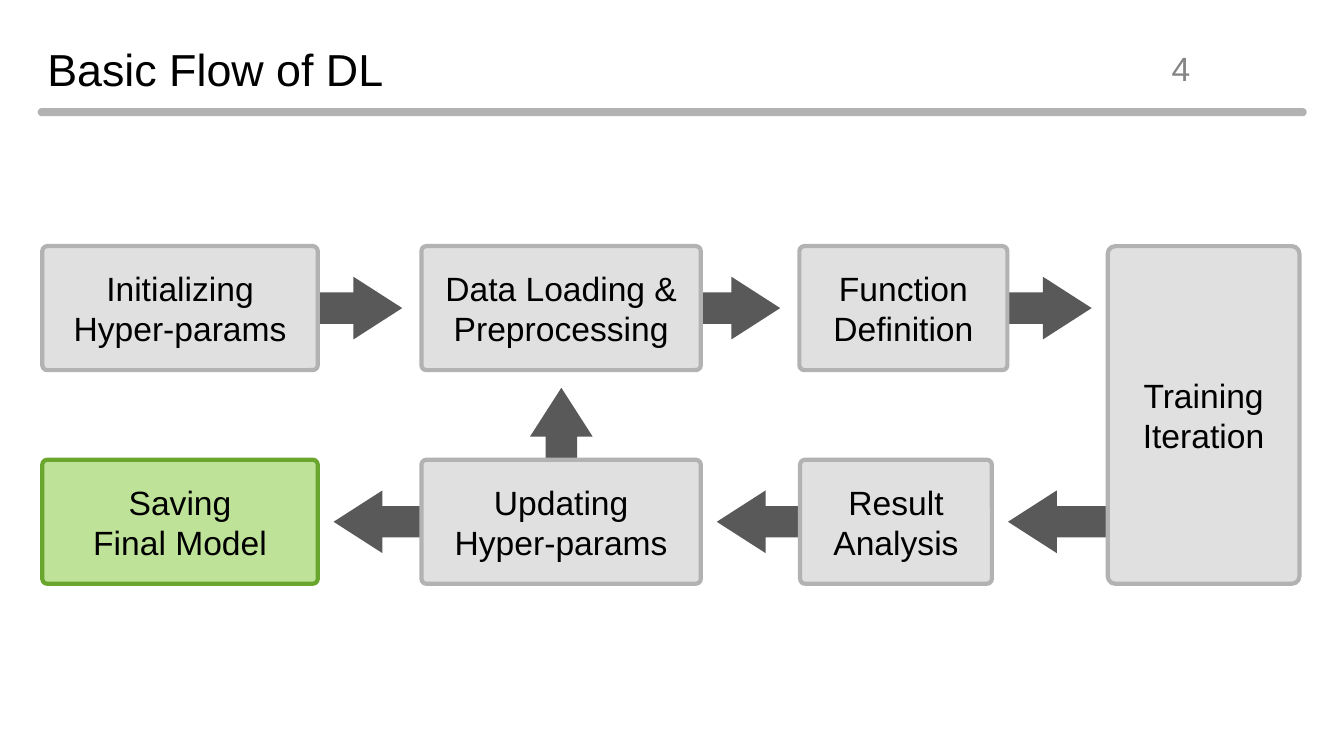
import pptx
import pptx.util
import pptx.dml.color
import pptx.enum.shapes
import pptx.enum.text

Pt = pptx.util.Pt
RGBColor = pptx.dml.color.RGBColor
MSO_SHAPE = pptx.enum.shapes.MSO_SHAPE
PP_ALIGN = pptx.enum.text.PP_ALIGN

BLACK = RGBColor(0x00, 0x00, 0x00)
NUMBER_GRAY = RGBColor(0x85, 0x85, 0x85)
RULE_GRAY = RGBColor(0xB2, 0xB2, 0xB2)
BOX_GRAY = RGBColor(0xE0, 0xE0, 0xE0)
ARROW_GRAY = RGBColor(0x59, 0x59, 0x59)
FINAL_FILL = RGBColor(0xBE, 0xE3, 0x98)
FINAL_LINE = RGBColor(0x6A, 0xA6, 0x2D)

TITLE = "Basic Flow of DL"
PAGE = "4"

TOP_ROW, BOTTOM_ROW = 175.8, 328.4
BOX_H, ARROW_H, ARROW_W = 88.6, 44.8, 67
TRAINING_H = BOTTOM_ROW + BOX_H - TOP_ROW

# text, left, top, width, height, fill, line
BOXES = [
    ("Initializing Hyper-params", 30.2, TOP_ROW, 196.8, BOX_H, BOX_GRAY, RULE_GRAY),
    ("Data Loading & Preprocessing", 301, TOP_ROW, 199.6, BOX_H, BOX_GRAY, RULE_GRAY),
    ("Function Definition", 571, TOP_ROW, 148.6, BOX_H, BOX_GRAY, RULE_GRAY),
    ("Training Iteration", 791.2, TOP_ROW, 137, TRAINING_H, BOX_GRAY, RULE_GRAY),
    ("Result Analysis", 571.5, BOTTOM_ROW, 137, BOX_H, BOX_GRAY, RULE_GRAY),
    ("Updating\nHyper-params", 301, BOTTOM_ROW, 199.6, BOX_H, BOX_GRAY, RULE_GRAY),
    ("Saving\nFinal Model", 30.2, BOTTOM_ROW, 196.8, BOX_H, FINAL_FILL, FINAL_LINE),
]

# left, vertical centre, width, rotation
TOP_MID, BOTTOM_MID = TOP_ROW + BOX_H / 2, BOTTOM_ROW + BOX_H / 2
ARROWS = [
    (220.3, TOP_MID, ARROW_W, 0),
    (490.3, TOP_MID, ARROW_W, 0),
    (712.8, TOP_MID, ARROW_W, 0),
    (720, BOTTOM_MID, 110, 180),
    (512, BOTTOM_MID, ARROW_W, 180),
    (238.3, BOTTOM_MID, ARROW_W, 180),
    (367.5, 310.5, ARROW_W, 270),
]


def write(shape, text, size=24, color=BLACK, align=PP_ALIGN.CENTER, insets=(7.2, 3.6, 7.2, 3.6)):
    tf = shape.text_frame
    tf.word_wrap = True
    tf.auto_size = pptx.enum.text.MSO_AUTO_SIZE.NONE
    tf.vertical_anchor = pptx.enum.text.MSO_ANCHOR.MIDDLE
    tf.margin_left, tf.margin_top, tf.margin_right, tf.margin_bottom = map(Pt, insets)
    p = tf.paragraphs[0]
    p.text = text
    p.alignment = align
    for r in p.runs:
        r.font.name = "Arial"
        r.font.size = Pt(size)
        r.font.color.rgb = color


def add_filled(s, kind, left, top, width, height, fill, adjustments, line=None):
    sp = s.shapes.add_shape(kind, Pt(left), Pt(top), Pt(width), Pt(height))
    sp.shadow.inherit = False
    for i, value in enumerate(adjustments):
        sp.adjustments[i] = value
    sp.fill.solid()
    sp.fill.fore_color.rgb = fill
    if line is None:
        sp.line.fill.background()
    else:
        sp.line.color.rgb = line
        sp.line.width = Pt(3)
    return sp


def main():
    prs = pptx.Presentation()
    prs.slide_width, prs.slide_height = Pt(960), Pt(540)
    s = prs.slides.add_slide(prs.slide_layouts[5])

    title = s.shapes.title
    title.left, title.top, title.width, title.height = Pt(19.4), Pt(25.2), Pt(766.8), Pt(47.5)
    write(title, TITLE, size=32, align=PP_ALIGN.LEFT, insets=(14.4, 3.6, 7.2, 3.6))
    add_filled(s, MSO_SHAPE.ROUNDED_RECTANGLE, 26.9, 77.2, 906.5, 5.8, RULE_GRAY, [0.5])

    for left, middle, width, rotation in ARROWS:
        sp = add_filled(s, MSO_SHAPE.RIGHT_ARROW, left, middle - ARROW_H / 2, width, ARROW_H,
                        ARROW_GRAY, [0.5, 0.778])
        sp.rotation = rotation

    for text, left, top, width, height, fill, line in BOXES:
        sp = add_filled(s, MSO_SHAPE.ROUNDED_RECTANGLE, left, top, width, height, fill, [0.04], line)
        write(sp, text)

    number = s.shapes.add_textbox(Pt(813.6), Pt(29.5), Pt(59.8), Pt(38.2))
    write(number, PAGE, color=NUMBER_GRAY, insets=(0, 3.6, 0, 3.6))

    prs.save("out.pptx")


if __name__ == "__main__":
    main()
